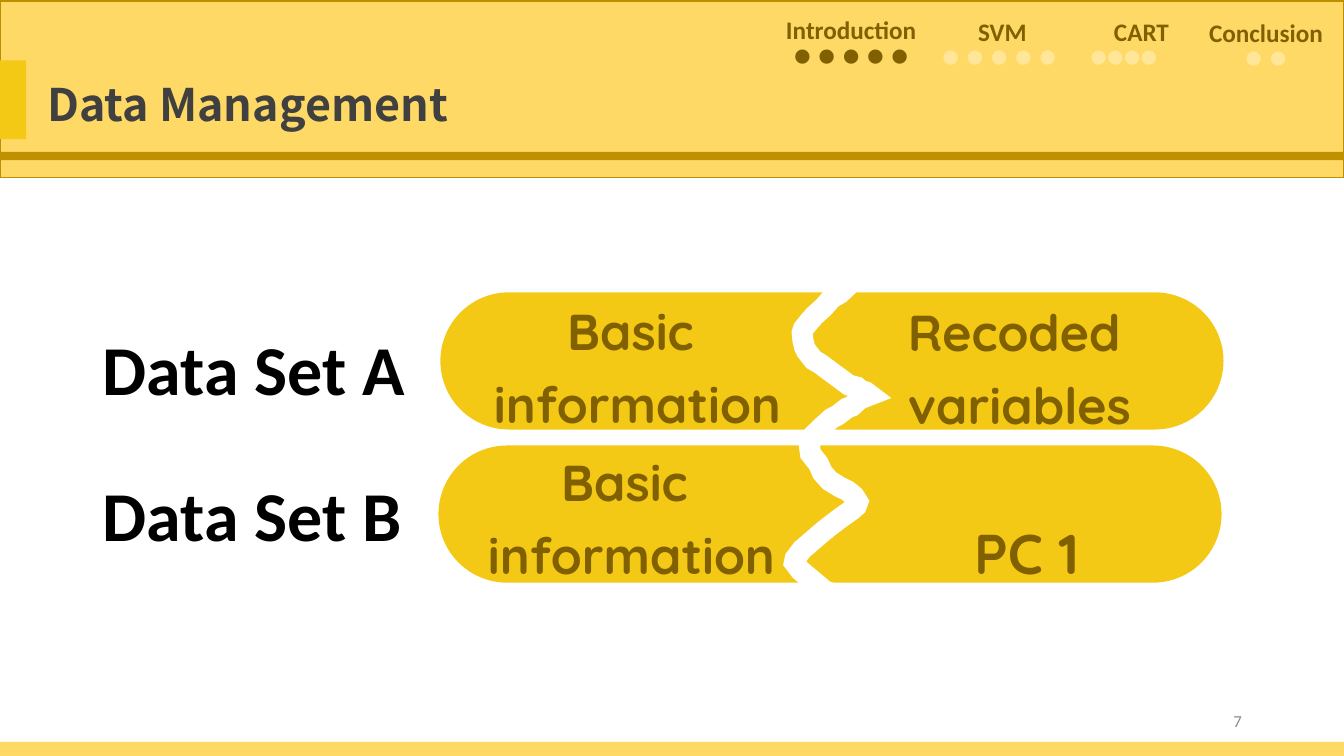
from dataclasses import dataclass

import pptx
import pptx.dml.color
import pptx.enum.shapes
import pptx.enum.text
import pptx.oxml
import pptx.oxml.ns
import pptx.util

Pt = pptx.util.Pt
SHAPE = pptx.enum.shapes.MSO_SHAPE
ALIGN = pptx.enum.text.PP_ALIGN
ANCHOR = pptx.enum.text.MSO_ANCHOR
AUTO = pptx.enum.text.MSO_AUTO_SIZE

WIDTH, HEIGHT = 960, 540
GOLD, PALE, BROWN, FAINT = "F3C915", "FFD966", "806000", "FFE699"


@dataclass
class Line:
    text: str
    size: float
    color: str
    font: str = "Calibri"
    bold: bool = True
    align: ALIGN = ALIGN.LEFT
    spacing: float | pptx.util.Length | None = None


@dataclass
class Section:
    title: str
    dots: str
    left: float
    top: float
    width: float
    dot_color: str = FAINT
    dot_align: ALIGN = ALIGN.CENTER


@dataclass
class DataSet:
    name: str
    name_top: float
    bar_left: float
    bar_top: float
    info_left: float
    info_top: float


SECTIONS = [
    Section("Introduction", "• • • • •", 548.6, 8.6, 118.8, BROWN),
    Section("SVM", "• • • • •", 666, 9.4, 100, dot_align=ALIGN.JUSTIFY),
    Section("CART", "••••", 771.8, 9.4, 87.1, dot_align=ALIGN.JUSTIFY),
    Section("Conclusion", "• •", 851, 10.1, 106.6),
]

DATA_SETS = [
    DataSet("Data Set A", 229, 314.6, 208.8, 251.3, 202.3),
    DataSet("Data Set B", 333.4, 313.2, 318.2, 247, 310.3),
]

TEAR = [
    (576, 165.6), (587.5, 177), (597.6, 186), (608.5, 196), (609, 199),
    (608.4, 201.6), (600, 209.5), (594, 213), (588.2, 219.6), (581.8, 225.4),
    (578, 229.7), (574, 234.7), (573, 237.6), (573.5, 243), (574.6, 247.7),
    (576, 250.6), (581, 257), (586, 260), (595.4, 267), (600.5, 270.7),
    (606.2, 275), (612, 276.5), (614.2, 278.6), (618.5, 280), (621.4, 282.2),
    (614.2, 285), (608.4, 290.2), (604.8, 291.6), (598.3, 296.6), (594, 298.8),
    (586.8, 305.3), (581, 311), (578.9, 316), (578.2, 319), (578.9, 324),
    (584.6, 331.2), (587.5, 337.7), (592.6, 343.4), (599.8, 347.8),
    (605.5, 350.6), (610, 354.3), (612.7, 358.6), (611.6, 361.5),
    (608.4, 364.3), (601.2, 369.4), (595.4, 373.7), (588.2, 379.4),
    (578.9, 387.4), (573, 392.4), (568, 399), (567.4, 401.8), (571.7, 407.5),
    (579.6, 414), (589, 422), (599, 425.5), (607, 430), (620.6, 440),
    (614.2, 445.7), (601, 453.6), (589, 461.5), (581.8, 466.6), (576, 471.6),
]


def rgb(value: str) -> pptx.dml.color.RGBColor:
    return pptx.dml.color.RGBColor.from_string(value)


def add_block(s, left: float, top: float, width: float, height: float,
              fill: str, kind: SHAPE = SHAPE.RECTANGLE):
    """Add a filled shape without outline or shadow."""
    sp = s.shapes.add_shape(kind, Pt(left), Pt(top), Pt(width), Pt(height))
    sp.shadow.inherit = False
    sp.fill.solid()
    sp.fill.fore_color.rgb = rgb(fill)
    sp.line.fill.background()
    return sp


def add_text(s, left: float, top: float, width: float, height: float,
             lines: list[Line], wrap: bool = True, grow: bool = True,
             anchor: ANCHOR = ANCHOR.TOP) -> None:
    sp = s.shapes.add_textbox(Pt(left), Pt(top), Pt(width), Pt(height))
    tf = sp.text_frame
    tf.word_wrap = wrap
    tf.auto_size = AUTO.SHAPE_TO_FIT_TEXT if grow else AUTO.NONE
    tf.vertical_anchor = anchor
    for i, line in enumerate(lines):
        p = tf.add_paragraph() if i else tf.paragraphs[0]
        p.text = line.text
        p.alignment = line.align
        p.line_spacing = line.spacing
        p.font.name = line.font
        p.font.size = Pt(line.size)
        p.font.bold = line.bold
        p.font.color.rgb = rgb(line.color)


def add_section(s, section: Section) -> None:
    add_text(s, section.left, section.top, section.width, 49, [
        Line(section.title, 18, BROWN, align=ALIGN.CENTER, spacing=Pt(20)),
        Line(section.dots, 24, section.dot_color, align=section.dot_align,
             spacing=Pt(20)),
    ])


def add_tear(s) -> None:
    """Draw the white jagged line that splits both bars."""
    points = [(Pt(x), Pt(y)) for x, y in TEAR]
    builder = s.shapes.build_freeform(*points[0])
    builder.add_line_segments(points[1:], close=False)
    sp = builder.convert_to_shape()
    sp.shadow.inherit = False
    sp.fill.background()
    sp.line.color.rgb = rgb("FFFFFF")
    sp.line.width = Pt(15)
    ns = pptx.oxml.ns.nsdecls("a")
    sp.line._get_or_add_ln().append(
        pptx.oxml.parse_xml(f'<a:miter {ns} lim="800000"/>'))


def label(text: str, size: float = 36, align: ALIGN = ALIGN.CENTER) -> Line:
    return Line(text, size, BROWN, "Quicksand", align=align, spacing=1.2)


def main() -> None:
    prs = pptx.Presentation()
    prs.slide_width, prs.slide_height = Pt(WIDTH), Pt(HEIGHT)
    s = prs.slides.add_slide(prs.slide_layouts[6])

    header = add_block(s, 0, 0.7, WIDTH, 126, PALE)
    header.line.color.rgb = rgb("BD8E00")
    header.line.width = Pt(1)
    add_block(s, 0, 108.5, WIDTH, 5.8, "BF9000")
    add_block(s, 0, 530, WIDTH, 10, PALE)
    add_text(s, 678.2, 500.4, 216, 28.8,
             [Line("7", 12, "8C8C8C", bold=False, align=ALIGN.RIGHT)],
             grow=False, anchor=ANCHOR.MIDDLE)
    add_text(s, 26.6, 51.1, 343.4, 46,
             [Line("Data Management", 32, "404040", "Noto Sans CJK SC")])
    add_block(s, 0, 43.2, 18.7, 56.2, GOLD)
    for section in SECTIONS:
        add_section(s, section)

    for d in DATA_SETS:
        bar = add_block(s, d.bar_left, d.bar_top, 559.4, 98, GOLD,
                        SHAPE.ROUNDED_RECTANGLE)
        bar.adjustments[0] = 0.5
    add_tear(s)
    for d in DATA_SETS:
        add_text(s, 66.2, d.name_top, 239.8, 67.7, [Line(d.name, 50, "000000")])
        add_text(s, d.info_left, d.info_top, 408.2, 112.3,
                 [label("Basic "), label("information")])
    add_text(s, 681.8, 357.1, 103, 65.5, [label("PC 1", 40)], wrap=False)
    add_text(s, 641.5, 203, 434.9, 112.3,
             [label(text, align=ALIGN.LEFT) for text in ("Recoded", "variables")])

    prs.save("out.pptx")


if __name__ == "__main__":
    main()
